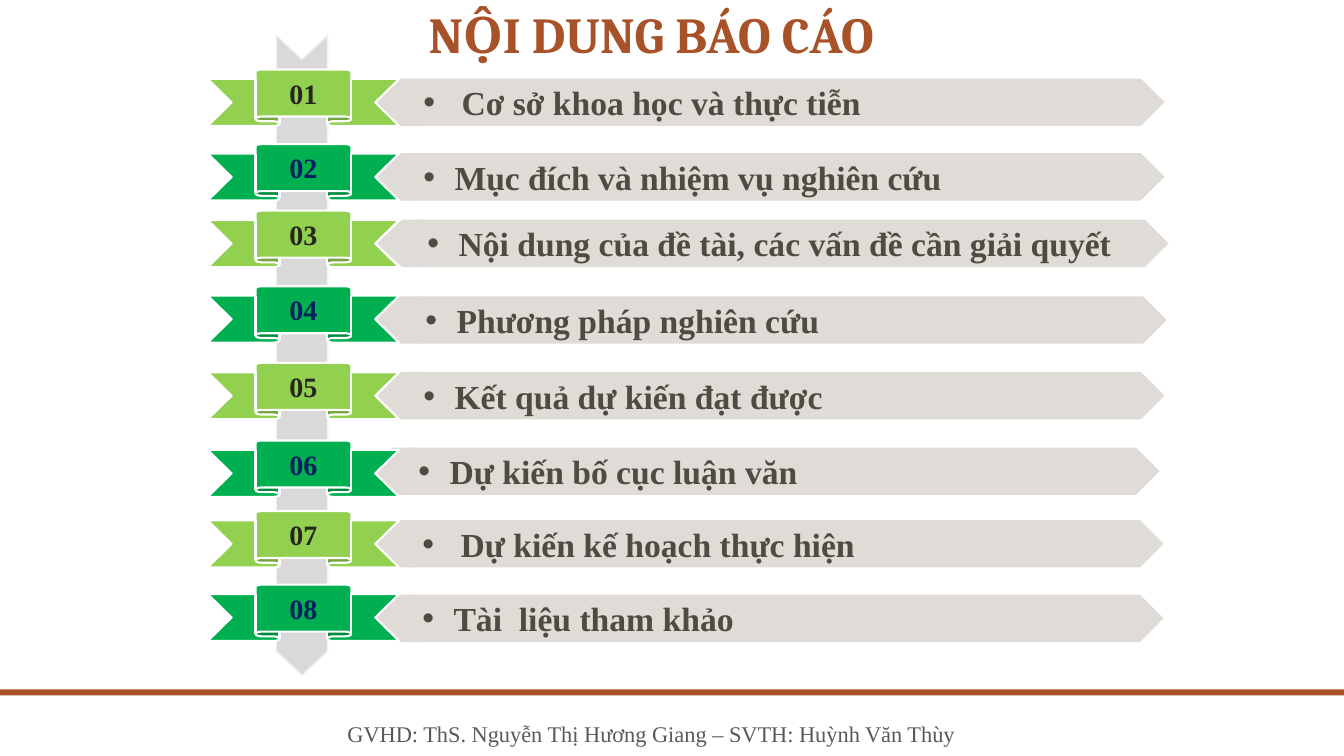
"""Build the report outline slide: eight numbered ribbons along a vertical band."""
from lxml import etree
from pptx import Presentation
from pptx import util as u
from pptx.dml.color import RGBColor
from pptx.enum import shapes, text
from pptx.oxml.ns import qn

PX = 9144
KIND = shapes.MSO_SHAPE
MID = text.MSO_ANCHOR.MIDDLE
CENTER = text.PP_ALIGN.CENTER
LEFT = text.PP_ALIGN.LEFT
THEME = {
    "rust": "A85229", "band": "D9D9D9", "edge": "F2F2F2", "plate": "DFDBD6",
    "item": "514A40", "foot": "595959", "white": "FFFFFF",
    "ribbon": ("92D050", "00B050"), "number": ("282520", "002060"),
    "head": "Cambria", "body": "Times New Roman",
    "title": 36, "list": 24, "label": 20, "note": 16,
}


def draw(kind, x, y, w, h, fill, line=None, width=1, turn=0, adj=None):
    """Add a preset shape without a shadow."""
    shape = slide.shapes.add_shape(kind, x * PX, y * PX, w * PX, h * PX)
    shape.shadow.inherit = False
    shape.rotation = turn
    shape.fill.solid()
    shape.fill.fore_color.rgb = RGBColor.from_string(fill)
    if line:
        shape.line.color.rgb = RGBColor.from_string(line)
        shape.line.width = u.Pt(width)
    else:
        shape.line.fill.background()
    if adj:
        shape.adjustments[0] = adj
    return shape


def write(shape, words, size, color, font=THEME["body"], bold=True,
          align=CENTER, anchor=MID, wrap=True, space=None, indent=0):
    """Put one formatted paragraph into a shape."""
    frame = shape.text_frame
    frame.word_wrap = wrap
    frame.vertical_anchor = anchor
    para = frame.paragraphs[0]
    para.alignment = align
    if space:
        para.line_spacing = space
    run = para.add_run()
    run.text = words
    run.font.size = u.Pt(size)
    run.font.name = font
    run.font.bold = bold
    run.font.color.rgb = RGBColor.from_string(color)
    if indent:
        props = para._p.get_or_add_pPr()
        props.set("marL", str(indent * PX))
        props.set("indent", str(-indent * PX))
        etree.SubElement(props, qn("a:buFont")).set("typeface", "Arial")
        etree.SubElement(props, qn("a:buChar")).set("char", "•")


deck = Presentation()
deck.slide_width, deck.slide_height = 1333 * PX, 750 * PX
slide = deck.slides.add_slide(deck.slide_layouts[5])

draw(KIND.RECTANGLE, 0, 684, 1333, 6, THEME["rust"])
draw(KIND.CHEVRON, -18, 327, 635, 51, THEME["band"], THEME["edge"], turn=90, adj=0.47)

title = slide.shapes.title
title.left, title.top, title.width, title.height = 121 * PX, 15 * PX, 1050 * PX, 54 * PX
write(title, "NỘI DUNG BÁO CÁO", THEME["title"], THEME["rust"], font=THEME["head"],
      anchor=text.MSO_ANCHOR.BOTTOM, space=0.9)

foot = slide.shapes.add_textbox(331 * PX, 710 * PX, 630 * PX, 37 * PX)
write(foot, "GVHD: ThS. Nguyễn Thị Hương Giang – SVTH: Huỳnh Văn Thùy", THEME["note"],
      THEME["foot"], bold=False, anchor=text.MSO_ANCHOR.TOP, wrap=False)

ROWS = [
    ("Cơ sở khoa học và thực tiễn", 369, 410, 78, 69, 38),
    ("Mục đích và nhiệm vụ nghiên cứu", 366, 410, 152, 143, 31),
    ("Nội dung của đề tài, các vấn đề cần giải quyết", 373, 414, 218, 209, 31),
    ("Phương pháp nghiên cứu", 370, 412, 294, 284, 31),
    ("Kết quả dự kiến đạt được", 369, 410, 369, 360, 31),
    ("Dự kiến bố cục luận văn", 364, 405, 444, 437, 31),
    ("Dự kiến kế hoạch thực hiện", 368, 409, 516, 507, 38),
    ("Tài  liệu tham khảo", 368, 409, 590, 580, 31),
]
for i, (words, tail, left, top, rise, indent) in enumerate(ROWS):
    draw(KIND.PENTAGON, tail, top, 46, 47, THEME["plate"], turn=180, adj=0.56)
    plate = draw(KIND.PENTAGON, left, top, 745, 47, THEME["plate"])
    write(plate, words, THEME["list"], THEME["item"], align=LEFT, indent=indent)
    ribbon = draw(KIND.UP_RIBBON, 206, rise, 190, 56, THEME["ribbon"][i % 2],
                  THEME["white"], width=1.5)
    write(ribbon, f"{i + 1:02}", THEME["label"], THEME["number"][i % 2])

deck.save("out.pptx")
